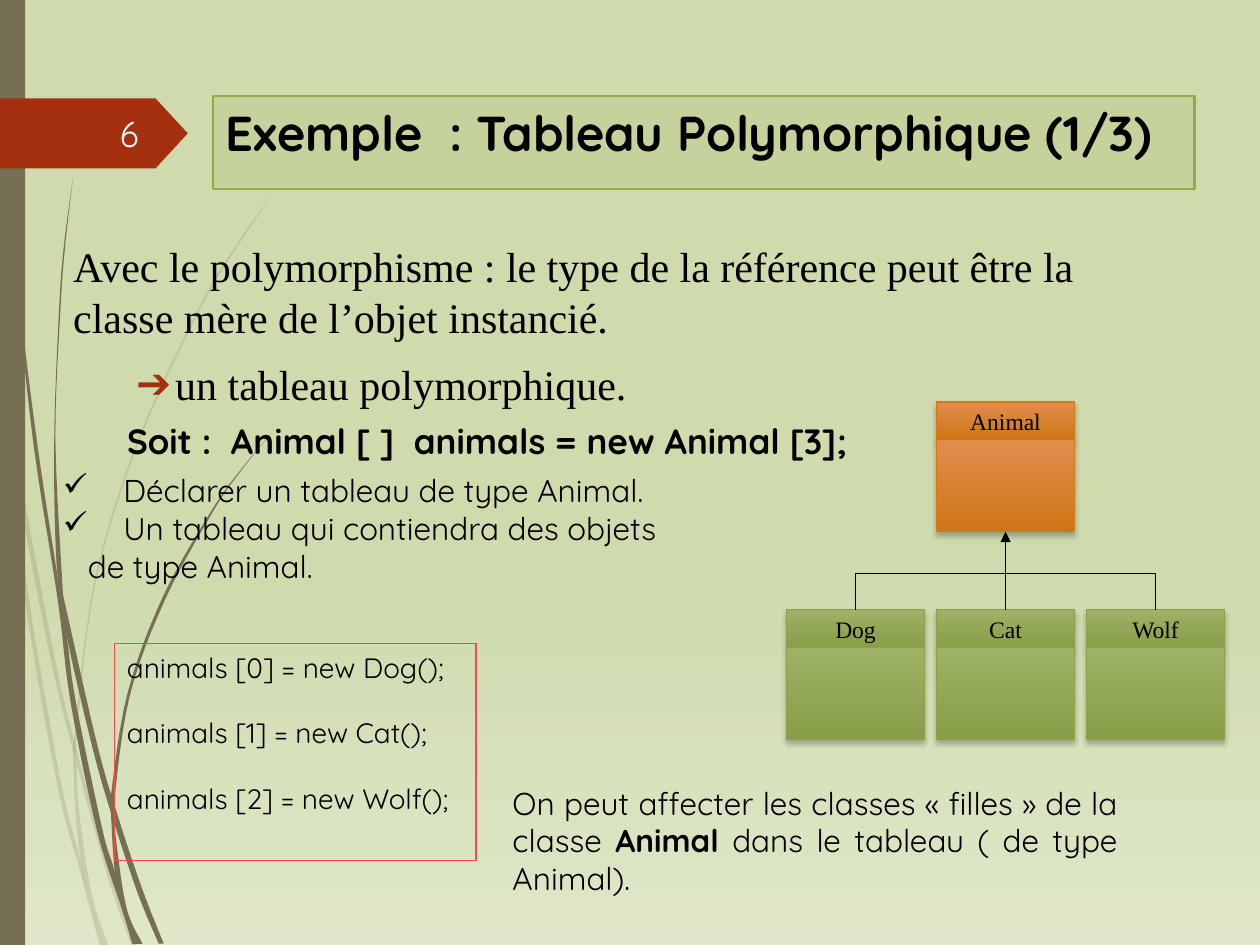
from copy import deepcopy
from dataclasses import dataclass

from lxml import etree
from pptx import Presentation
from pptx.dml.color import RGBColor
from pptx.enum import shapes, text
from pptx.oxml.ns import qn
from pptx.util import Pt

BLACK = RGBColor(0x00, 0x00, 0x00)
WHITE = RGBColor(0xFE, 0xFF, 0xFF)
BROWN = RGBColor(0x76, 0x6F, 0x54)
RUST = RGBColor(0xA5, 0x30, 0x10)
RED = RGBColor(0xFF, 0x47, 0x47)
TITLE_FILL = RGBColor(0xB6, 0xC8, 0x82)
TITLE_LINE = RGBColor(0x92, 0xAA, 0x4C)
BACK_MAIN = RGBColor(0xCF, 0xDA, 0xAD)
BACK_LOW = RGBColor(0xDF, 0xE7, 0xC8)
ORANGE = (RGBColor(0xE1, 0x8D, 0x4C), RGBColor(0xCF, 0x75, 0x16), RGBColor(0xD4, 0x78, 0x17))
GREEN = (RGBColor(0x9D, 0xB2, 0x65), RGBColor(0x88, 0x9E, 0x47), RGBColor(0x8B, 0xA2, 0x49))
SANS, SERIF = "Quicksand", "Times New Roman"
LEFT, JUSTIFY = text.PP_ALIGN.LEFT, text.PP_ALIGN.JUSTIFY
TOP, MIDDLE = text.MSO_ANCHOR.TOP, text.MSO_ANCHOR.MIDDLE
BOX_W, HEAD_H, BODY_H = 79.2, 21.6, 52.6
BUS_Y = 327.6


@dataclass
class Strand:
    """One grass blade: the points down one edge and back up the other."""
    opacity: int
    down: list
    up: list


@dataclass
class ClassBox:
    name: str
    x: float
    y: float
    colors: tuple


STRANDS = [
    Strand(20, [(0, 215.3), (5.8, 252), (13.7, 338.4), (32.4, 447.1), (46.1, 499), (56.9, 540)],
           [(59, 540), (50.4, 514.1), (46.1, 491.8), (34.6, 445.7), (15.8, 337.7),
            (8.6, 270.7), (4.3, 231.8), (0, 203)]),
    Strand(20, [(7.2, 248.4), (8.6, 270.7), (28.8, 375.8), (42.5, 431.3), (61.2, 499.7), (74.9, 540)],
           [(77.8, 540), (63.4, 498.2), (46.1, 437), (31, 374.4), (7.2, 248.4)]),
    Strand(20, [(156.2, 110.2), (133.9, 141.8), (113.8, 175.7), (79.2, 250.6), (54, 331.9), (42.5, 420.5),
                (41.8, 431.3), (43.2, 465.1), (46.1, 491.8), (50.4, 514.1), (59, 540)],
           [(61.9, 540), (52.6, 511.9), (45.4, 465.1), (43.9, 439.2), (43.9, 420.5), (54.7, 332.6),
            (79.9, 251.3), (114.5, 176.4), (134.6, 142.6), (156.2, 110.2)]),
    Strand(100, [(1.4, 0), (3.6, 79.2), (10.1, 167.8), (19.4, 255.6), (33.1, 343.4), (40.3, 401),
                 (55.4, 474.5), (69.8, 519.8), (75.6, 539.3)],
           [(77.8, 539.3), (65.5, 497.5), (58.3, 473), (43.2, 400.3), (38.2, 363.6), (32.4, 326.2),
            (21.6, 255.6), (10.8, 167), (4.3, 78.5), (2.2, 0)]),
    Strand(100, [(36, 339.8), (38.2, 363.6), (52.6, 426.2), (63.4, 464.4), (78.5, 509.8), (90.7, 539.3)],
           [(93.6, 539.3), (81.4, 508.3), (67.7, 467.3), (55.4, 424.8), (36, 339.8)]),
    Strand(100, [(41.8, 101.5), (36.7, 139), (33.8, 176.4), (31, 251.3), (32.4, 323.3), (38.2, 363.6)],
           [(36, 339.8), (31.7, 251.3), (34.6, 176.4), (37.4, 139), (41.8, 101.5)]),
    Strand(100, [(154.8, 247.7), (137.5, 268.6), (121, 291.6), (92.9, 341.3), (72.7, 396.7), (63.4, 454.3),
                 (63.4, 464.4), (65.5, 497.5), (69.8, 519.8), (77.8, 539.3)],
           [(81.4, 539.3), (72, 517.7), (65.5, 472.3), (65.5, 455.8), (74.2, 397.4), (94.3, 342.7),
            (121.7, 292.3), (137.5, 269.3), (154.8, 247.7)]),
]
PARENT = ClassBox("Animal", 535, 229.7, ORANGE)
CHILDREN = [ClassBox(name, 449.3 + i * 85.7, 348.5, GREEN)
            for i, name in enumerate(("Dog", "Cat", "Wolf"))]


def smooth(points: list, steps: int = 6) -> list:
    """Catmull-Rom curve through the points."""
    ends = [points[0], *points, points[-1]]
    curve = [points[0]]
    for a, b, c, d in zip(ends, ends[1:], ends[2:], ends[3:]):
        for t in (k / steps for k in range(1, steps + 1)):
            curve.append(tuple(
                (2 * q + (r - p) * t + (2 * p - 5 * q + 4 * r - s) * t ** 2
                 + (3 * q - p - 3 * r + s) * t ** 3) / 2
                for p, q, r, s in zip(a, b, c, d)))
    return curve


def set_opacity(sp, percent: int) -> None:
    color = sp._element.spPr.find(".//" + qn("a:srgbClr"))
    etree.SubElement(color, qn("a:alpha"), val=str(percent * 1000))


def set_gradient(fill, stops: list) -> None:
    """Fill from top to bottom with (position, colour) stops."""
    fill.gradient()
    fill.gradient_angle = 270
    first = fill.gradient_stops[0]._gs
    for _ in stops[2:]:
        first.addnext(deepcopy(first))
    for stop, (position, color) in zip(fill.gradient_stops, stops):
        stop.position = position
        stop.color.rgb = color


def place(sp, x: float, y: float, w: float, h: float) -> None:
    sp.left, sp.top, sp.width, sp.height = Pt(x), Pt(y), Pt(w), Pt(h)


def add_preset(s, kind, x: float, y: float, w: float, h: float, color=None):
    sp = s.shapes.add_shape(kind, Pt(x), Pt(y), Pt(w), Pt(h))
    sp.shadow.inherit = False
    sp.line.fill.background()
    if color is None:
        sp.fill.background()
    else:
        sp.fill.solid()
        sp.fill.fore_color.rgb = color
    return sp


def set_line(sp, color: RGBColor, width: float = 0.75) -> None:
    sp.line.color.rgb = color
    sp.line.width = Pt(width)


def frame(sp, anchor=TOP, wrap: bool = True):
    tf = sp.text_frame
    tf.auto_size = text.MSO_AUTO_SIZE.NONE
    tf.word_wrap = wrap
    tf.vertical_anchor = anchor
    return tf


def add_box(s, x: float, y: float, w: float, h: float, **fmt):
    return frame(s.shapes.add_textbox(Pt(x), Pt(y), Pt(w), Pt(h)), **fmt)


def write(tf, words, *, size: float, font: str = SANS, color=BLACK, bold=False, align=LEFT,
          before: float = 0, indent: float = 0, hang: float = 0, bullet=None, bullet_color=None) -> None:
    """Add a paragraph; words is a string or a list of (string, bold) runs."""
    p = tf.paragraphs[0] if not tf.paragraphs[0].runs else tf.add_paragraph()
    p.alignment, p.space_before = align, Pt(before)
    pPr = p._p.get_or_add_pPr()
    pPr.set("marL", str(Pt(indent)))
    pPr.set("indent", str(Pt(-hang)))
    if bullet_color is not None:
        clr = etree.SubElement(pPr, qn("a:buClr"))
        etree.SubElement(clr, qn("a:srgbClr"), val=str(bullet_color))
    if bullet:
        etree.SubElement(pPr, qn("a:buChar"), char=bullet)
    else:
        etree.SubElement(pPr, qn("a:buNone"))
    for part, strong in [(words, bold)] if isinstance(words, str) else words:
        r = p.add_run()
        r.text = part
        r.font.name, r.font.size, r.font.bold = font, Pt(size), strong
        r.font.color.rgb = color


def draw_strand(s, strand: Strand) -> None:
    start, *rest = [(Pt(x), Pt(y)) for x, y in smooth(strand.down) + smooth(strand.up)]
    builder = s.shapes.build_freeform(*start)
    builder.add_line_segments(rest, close=True)
    sp = builder.convert_to_shape()
    sp.shadow.inherit = False
    sp.fill.solid()
    sp.fill.fore_color.rgb = BROWN
    sp.line.fill.background()
    if strand.opacity < 100:
        set_opacity(sp, strand.opacity)


def draw_class(s, box: ClassBox) -> tuple:
    """Draw the name cell and the empty cell under it; return both."""
    cells = []
    for y, h in ((box.y, HEAD_H), (box.y + HEAD_H, BODY_H)):
        sp = add_preset(s, shapes.MSO_SHAPE.RECTANGLE, box.x, y, BOX_W, h)
        set_gradient(sp.fill, [(0, box.colors[0]), (1, box.colors[1])])
        set_line(sp, box.colors[2])
        shadow = etree.SubElement(sp._element.spPr.find(qn("a:effectLst")), qn("a:outerShdw"),
                                  blurRad=str(Pt(3)), dist=str(Pt(2)), dir="5400000", rotWithShape="0")
        color = etree.SubElement(shadow, qn("a:srgbClr"), val=str(BLACK))
        etree.SubElement(color, qn("a:alpha"), val="25000")
        cells.append(sp)
    write(frame(cells[0], MIDDLE), box.name, size=13.5, font=SERIF, align=text.PP_ALIGN.CENTER)
    return tuple(cells)


def draw_line(s, x1: float, y1: float, x2: float, y2: float):
    line = s.shapes.add_connector(shapes.MSO_CONNECTOR.STRAIGHT, Pt(x1), Pt(y1), Pt(x2), Pt(y2))
    set_line(line, BLACK)
    etree.SubElement(line._element.spPr, qn("a:effectLst"))
    return line


def draw_hierarchy(s) -> None:
    parent_body = draw_class(s, PARENT)[1]
    heads = [draw_class(s, child)[0] for child in CHILDREN]
    mids = [child.x + BOX_W / 2 for child in CHILDREN]
    draw_line(s, mids[0], BUS_Y, mids[-1], BUS_Y)
    for head, child, mid in zip(heads, CHILDREN, mids):
        draw_line(s, mid, child.y, mid, BUS_Y).begin_connect(head, 0)
    mid = PARENT.x + BOX_W / 2
    arrow = draw_line(s, mid, BUS_Y, mid, PARENT.y + HEAD_H + BODY_H)
    arrow.end_connect(parent_body, 2)
    etree.SubElement(arrow.line._get_or_add_ln(), qn("a:tailEnd"), type="triangle")


def main() -> None:
    prs = Presentation()
    prs.slide_width, prs.slide_height = Pt(720), Pt(540)
    s = prs.slides.add_slide(prs.slide_layouts[1])
    set_gradient(s.background.fill, [(0, BACK_MAIN), (0.6, BACK_MAIN), (1, BACK_LOW)])
    for strand in STRANDS:
        draw_strand(s, strand)
    add_preset(s, shapes.MSO_SHAPE.RECTANGLE, 0, 0, 14.4, 540, BROWN)
    flag = add_preset(s, shapes.MSO_SHAPE.PENTAGON, 0, 56.2, 107.3, 40, RUST)
    flag.adjustments[0] = 0.46

    title, body = s.placeholders
    for sp in (title, body):
        s.shapes._spTree.append(sp._element)  # in front of the decoration
    place(title, 121.7, 54.7, 560.9, 53.3)
    title.fill.solid()
    title.fill.fore_color.rgb = TITLE_FILL
    set_opacity(title, 40)
    set_line(title, TITLE_LINE, 1.25)
    write(frame(title), "Exemple  : Tableau Polymorphique (1/3)", size=28, bold=True)

    place(body, 34.6, 133.9, 648, 97.9)
    tf = frame(body)
    write(tf, "Avec le polymorphisme : le type de la référence peut être la classe mère de l’objet instancié.",
          size=24, font=SERIF)
    write(tf, "un tableau polymorphique.", size=24, font=SERIF, before=10,
          indent=58.3, hang=22.3, bullet="➔", bullet_color=RUST)

    write(add_box(s, 65.5, 236.2, 426.2, 31.7, wrap=False),
          "Soit :  Animal [ ]  animals = new Animal [3];", size=20, bold=True)
    draw_hierarchy(s)

    tf = add_box(s, 28.8, 265.7, 513.4, 72.7)
    for words in ("Déclarer un tableau de type Animal.", "Un tableau qui contiendra des objets"):
        write(tf, words, size=18, align=JUSTIFY, indent=34.6, hang=34.6, bullet="✓")
    write(tf, "de type Animal.", size=18, align=JUSTIFY, indent=14.4)

    code = add_preset(s, shapes.MSO_SHAPE.RECTANGLE, 65.5, 367.9, 206.6, 123.8)
    set_line(code, RED)
    tf = frame(code)
    for i, child in enumerate(CHILDREN):
        write(tf, f"animals [{i}] = new {child.name}();", size=16, before=18.5 if i else 0)

    write(add_box(s, 285.8, 444.2, 360, 72.7),
          [("On peut affecter les classes « filles » de la classe ", False), ("Animal", True),
           (" dans le tableau ( de type Animal).", False)], size=18, align=JUSTIFY)
    write(add_box(s, 40.3, 61.9, 46.1, 28.8, anchor=MIDDLE), "6", size=20, color=WHITE,
          align=text.PP_ALIGN.RIGHT)
    prs.save("out.pptx")


if __name__ == "__main__":
    main()
